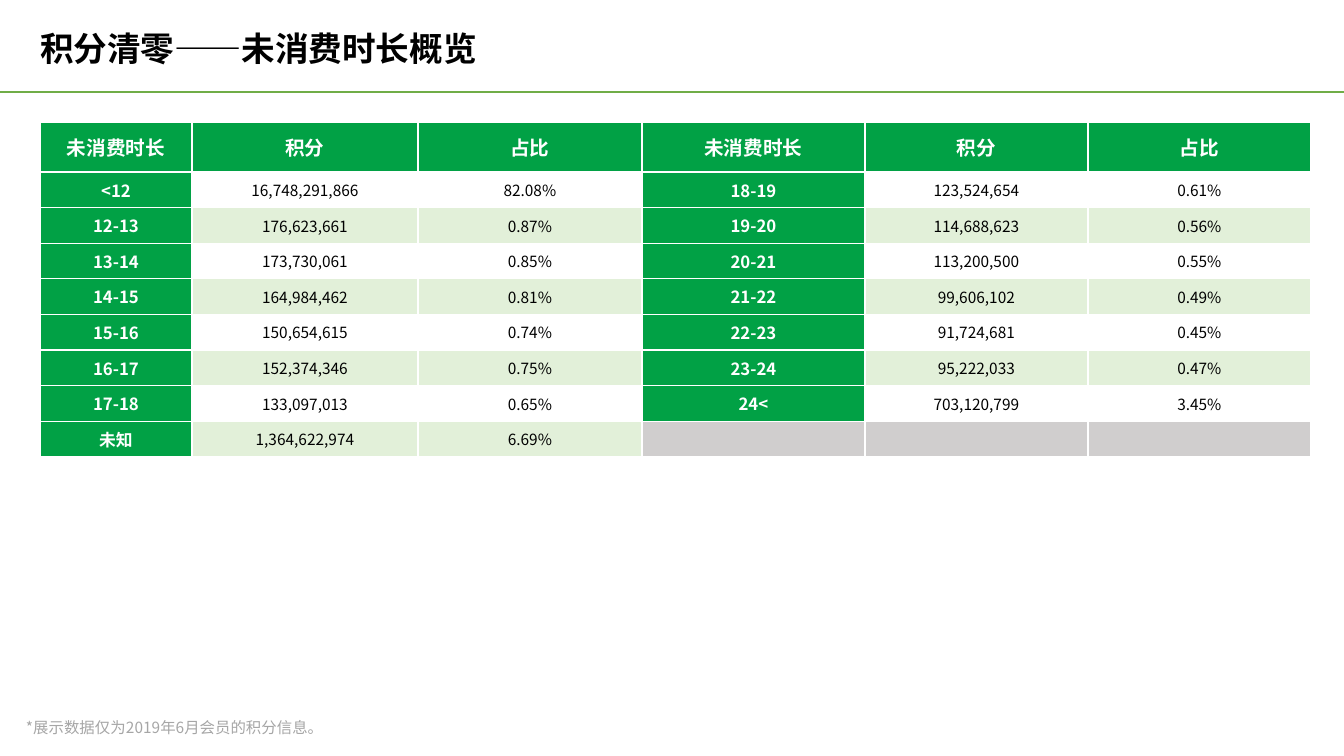
from dataclasses import dataclass

from lxml import etree
from pptx import Presentation
from pptx.dml.color import RGBColor
from pptx.enum.shapes import MSO_CONNECTOR
from pptx.enum.text import MSO_ANCHOR, MSO_AUTO_SIZE, PP_ALIGN
from pptx.oxml import parse_xml
from pptx.oxml.ns import nsdecls, qn
from pptx.util import Pt

STRAIGHT = MSO_CONNECTOR.STRAIGHT
MIDDLE = MSO_ANCHOR.MIDDLE
NO_FIT = MSO_AUTO_SIZE.NONE
LEFT, CENTER = PP_ALIGN.LEFT, PP_ALIGN.CENTER
TITLE_ONLY = 5
PX = 914400 / 100.8


@dataclass(frozen=True)
class Theme:
    font: str = "Noto Sans CJK SC"
    black: str = "000000"
    white: str = "FFFFFF"
    green: str = "01A145"
    band: str = "E2F0D9"
    blank: str = "D0CECE"
    rule: str = "70AD47"
    note: str = "A6A6A6"
    title_size: int = 24
    header_size: int = 14
    label_size: int = 12
    small_size: int = 11


THEME = Theme()


def px(value):
    return round(value * PX)


def write(frame, text, size, color, bold=False, align=LEFT, spacing=None):
    paragraph = frame.paragraphs[0]
    paragraph.alignment = align
    paragraph.line_spacing = spacing
    run = paragraph.add_run()
    run.text = text
    run.font.name = THEME.font
    run.font.size = Pt(size)
    run.font.bold = bold
    run.font.color.rgb = RGBColor.from_string(color)
    east_asian = etree.SubElement(run.font._element, qn("a:ea"))
    east_asian.set("typeface", THEME.font)
    frame.margin_left = frame.margin_right = 0
    frame.margin_top = frame.margin_bottom = 0


prs = Presentation()
prs.slide_width, prs.slide_height = px(1344), px(756)
slide = prs.slides.add_slide(prs.slide_layouts[TITLE_ONLY])

# Title
title = slide.shapes.title
title.left, title.top, title.width, title.height = px(40), px(33), px(634), px(36)
write(title.text_frame, "积分清零——未消费时长概览", size=THEME.title_size,
      color=THEME.black, bold=True, spacing=0.9)
title.text_frame.vertical_anchor = MIDDLE
title.text_frame.auto_size = NO_FIT

# Rule below the title
rule = slide.shapes.add_connector(STRAIGHT, 0, px(92), px(1344), px(92))
rule.line.color.rgb = RGBColor.from_string(THEME.rule)
rule.line.width = Pt(1.5)
etree.SubElement(rule._element.spPr, qn("a:effectLst"))

# Points by months without spending, in two blocks side by side
HEADER = ("未消费时长", "积分", "占比") * 2
POINTS = [
    ("<12", "16,748,291,866", "82.08%", "18-19", "123,524,654", "0.61%"),
    ("12-13", "176,623,661", "0.87%", "19-20", "114,688,623", "0.56%"),
    ("13-14", "173,730,061", "0.85%", "20-21", "113,200,500", "0.55%"),
    ("14-15", "164,984,462", "0.81%", "21-22", "99,606,102", "0.49%"),
    ("15-16", "150,654,615", "0.74%", "22-23", "91,724,681", "0.45%"),
    ("16-17", "152,374,346", "0.75%", "23-24", "95,222,033", "0.47%"),
    ("17-18", "133,097,013", "0.65%", "24<", "703,120,799", "3.45%"),
    ("未知", "1,364,622,974", "6.69%", "", "", ""),
]
COLUMNS = (152, 226, 224, 223, 223, 223)
LABEL_COLUMNS = (0, 3)
TABLE_HEIGHT, HEADER_HEIGHT = 335, 50
rows = [HEADER, *POINTS]

points = slide.shapes.add_table(len(rows), len(COLUMNS), px(40), px(122),
                                px(sum(COLUMNS)), px(TABLE_HEIGHT)).table
for column, width in zip(points.columns, COLUMNS):
    column.width = px(width)
for row in points.rows:
    row.height = px((TABLE_HEIGHT - HEADER_HEIGHT) / len(POINTS))
points.rows[0].height = px(HEADER_HEIGHT)

for r, values in enumerate(rows):
    for c, value in enumerate(values):
        size, color, bold = THEME.small_size, THEME.black, False
        fill = THEME.white if r % 2 else THEME.band
        if not value:
            fill = THEME.blank
        elif r == 0 or c in LABEL_COLUMNS:
            size = THEME.label_size if r else THEME.header_size
            color, bold, fill = THEME.white, True, THEME.green

        cell = points.cell(r, c)
        write(cell.text_frame, value, size=size, color=color, bold=bold, align=CENTER)
        cell.margin_left = cell.margin_right = cell.margin_top = cell.margin_bottom = 0
        cell.vertical_anchor = MIDDLE
        cell.fill.solid()
        cell.fill.fore_color.rgb = RGBColor.from_string(fill)
        for place, side in enumerate("LRTB"):
            border = parse_xml(
                f'<a:ln{side} {nsdecls("a")} w="{Pt(1)}"><a:solidFill>'
                f'<a:srgbClr val="{THEME.white}"/></a:solidFill></a:ln{side}>')
            cell._tc.get_or_add_tcPr().insert(place, border)

# Footnote
footnote = slide.shapes.add_textbox(px(26), px(718), px(301), px(19)).text_frame
write(footnote, "*展示数据仅为2019年6月会员的积分信息。",
      size=THEME.small_size, color=THEME.note)
footnote.vertical_anchor = MIDDLE
footnote.word_wrap = False

prs.save("out.pptx")
